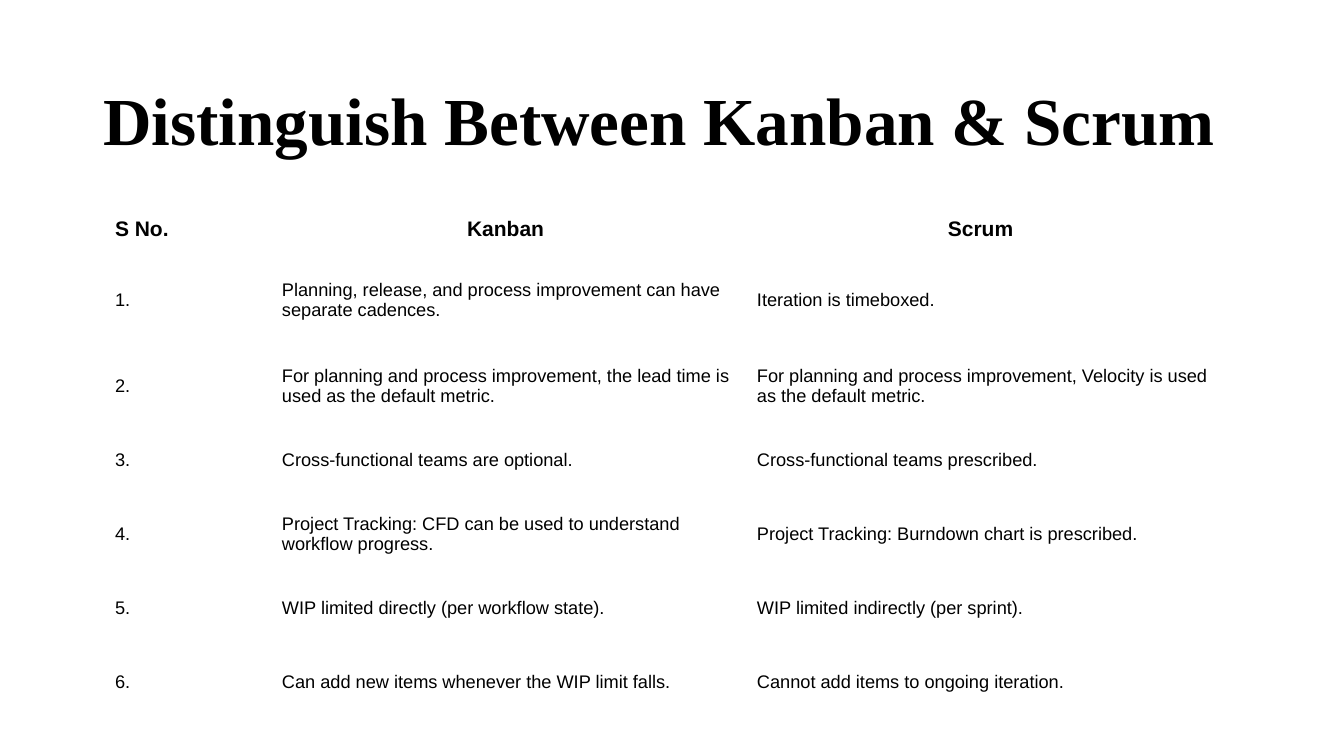
"""Build a slide with a table that compares Kanban and Scrum."""
from pptx import Presentation
from pptx.dml.color import RGBColor
from pptx.enum.text import MSO_ANCHOR, PP_ALIGN
from pptx.util import Pt

LEFT, CENTER = PP_ALIGN.LEFT, PP_ALIGN.CENTER
MIDDLE = MSO_ANCHOR.MIDDLE
COLORS = {"text": "000000"}
EMU_PER_PX = 914400 / 100.8

COLUMN_WIDTHS = [167, 475, 475]
ROW_HEIGHTS = [55, 86, 86, 62, 86, 62, 86]
HEADER = ("S No.", "Kanban ", "Scrum ")
COMPARISONS = [
    ("Planning, release, and process improvement can have separate cadences.",
     "Iteration is timeboxed."),
    ("For planning and process improvement, the lead time is used as the default metric.",
     "For planning and process improvement, Velocity is used as the default metric."),
    ("Cross-functional teams are optional.",
     "Cross-functional teams prescribed."),
    ("Project Tracking: CFD can be used to understand workflow progress. ",
     "Project Tracking: Burndown chart is prescribed. "),
    ("WIP limited directly (per workflow state). ",
     "WIP limited indirectly (per sprint). "),
    ("Can add new items whenever the WIP limit falls. ",
     "Cannot add items to ongoing iteration."),
]


def px(length):
    return round(length * EMU_PER_PX)


def format_text(paragraph, font_name, size, bold, alignment):
    paragraph.alignment = alignment
    for run in paragraph.runs:
        run.font.name = font_name
        run.font.size = Pt(size)
        run.font.bold = bold
        run.font.color.rgb = RGBColor.from_string(COLORS["text"])


presentation = Presentation()
presentation.slide_width = px(1344)
presentation.slide_height = px(756)
slide = presentation.slides.add_slide(presentation.slide_layouts[5])

title = slide.shapes.title
title.left, title.top, title.width, title.height = px(93), px(61), px(1159), px(125)
title.text_frame.text = "Distinguish Between Kanban & Scrum"
title.text_frame.vertical_anchor = MIDDLE
title_paragraph = title.text_frame.paragraphs[0]
title_paragraph.line_spacing = 0.9
format_text(title_paragraph, "Times New Roman", 48, True, LEFT)

rows = [HEADER] + [(f"{number}.", *pair) for number, pair in enumerate(COMPARISONS, 1)]
table = slide.shapes.add_table(
    len(rows), len(HEADER), px(104), px(202), px(sum(COLUMN_WIDTHS)), px(sum(ROW_HEIGHTS))
).table
table.first_row = False
table.horz_banding = False
for column, width in zip(table.columns, COLUMN_WIDTHS):
    column.width = px(width)

for row_index, texts in enumerate(rows):
    table.rows[row_index].height = px(ROW_HEIGHTS[row_index])
    is_header = row_index == 0
    for column_index, text in enumerate(texts):
        cell = table.cell(row_index, column_index)
        cell.fill.background()
        cell.vertical_anchor = MIDDLE
        cell.margin_left = cell.margin_right = px(11)
        cell.margin_top = cell.margin_bottom = px(11 if is_header else 15)
        cell.text_frame.text = text
        alignment = CENTER if is_header and column_index > 0 else LEFT
        format_text(cell.text_frame.paragraphs[0], "Arial", 15 if is_header else 13,
                    is_header, alignment)

presentation.save("out.pptx")
